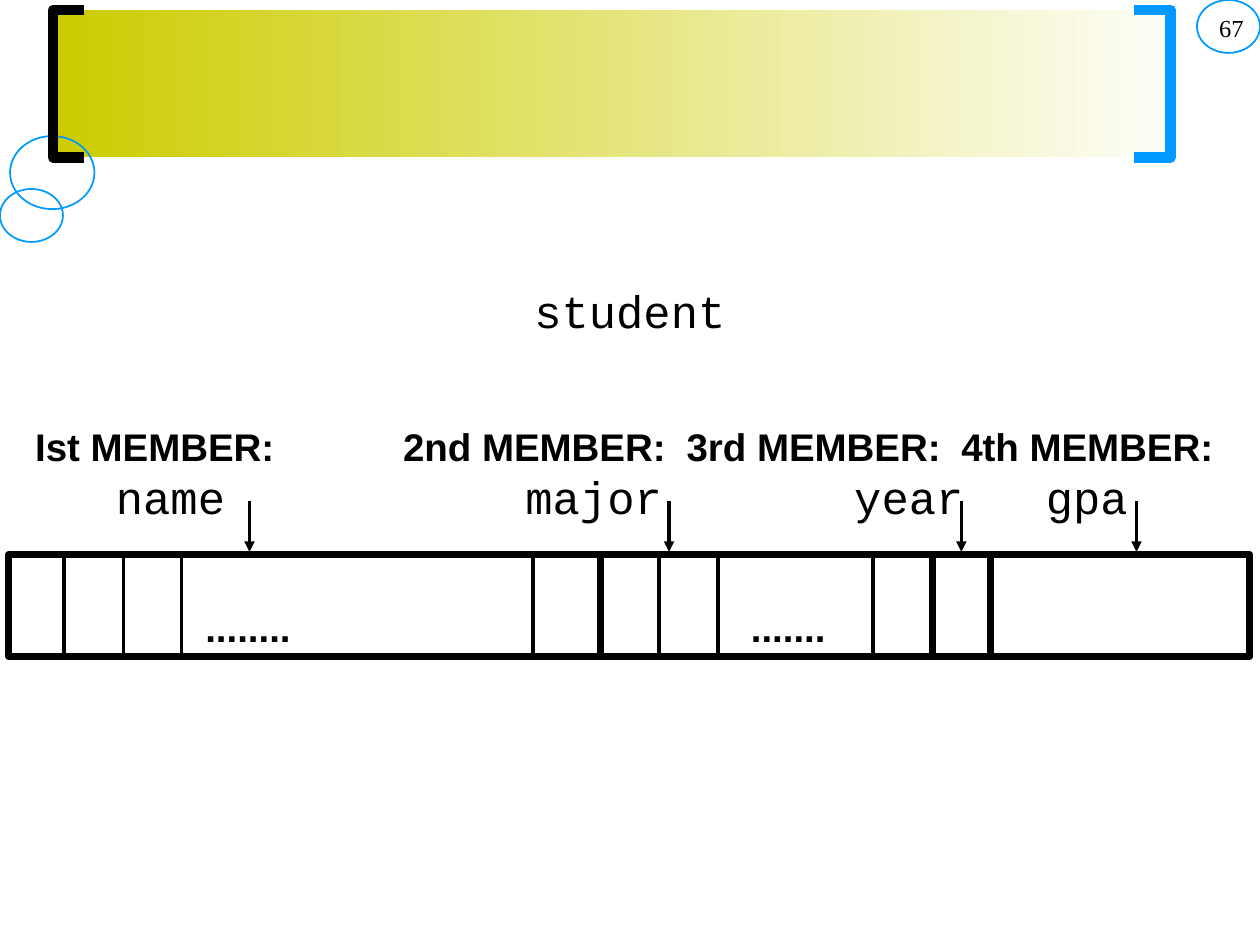
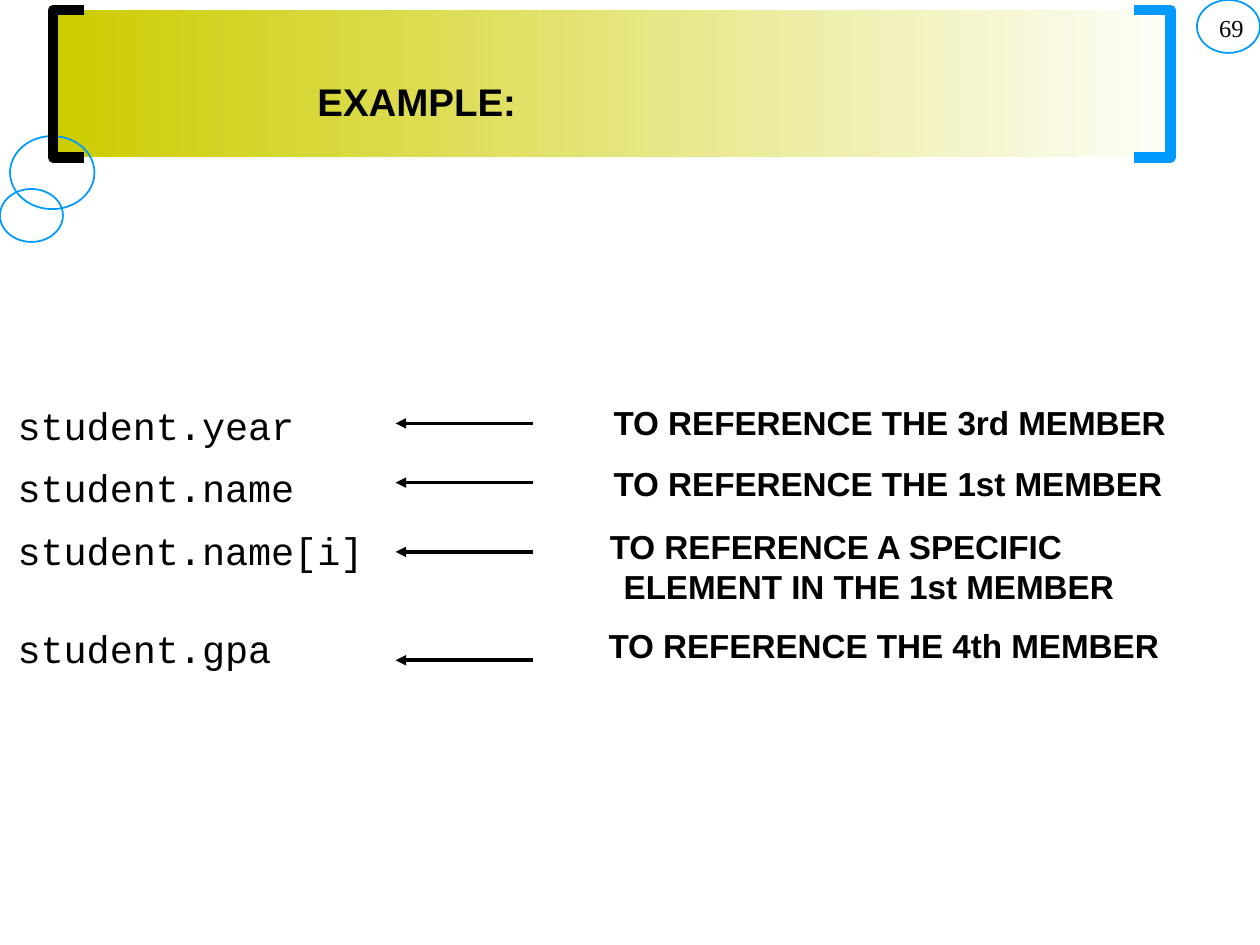
from lxml import etree
from pptx import Presentation
from pptx.dml.color import RGBColor
from pptx.enum.shapes import MSO_CONNECTOR, MSO_SHAPE
from pptx.enum.text import PP_ALIGN
from pptx.oxml.ns import qn
from pptx.util import Inches, Pt

BLACK = RGBColor(0, 0, 0)
WHITE = RGBColor(255, 255, 255)
BLUE = RGBColor(0, 0x99, 0xFF)
OLIVE = RGBColor(0xCC, 0xCC, 0)
RECT, OVAL = MSO_SHAPE.RECTANGLE, MSO_SHAPE.OVAL
STRAIGHT = MSO_CONNECTOR.STRAIGHT
LEFT, CENTER, RIGHT = PP_ALIGN.LEFT, PP_ALIGN.CENTER, PP_ALIGN.RIGHT
SANS, MONO, SERIF = "Arial", "Courier New", "Times New Roman"

ROW_TOP, ROW_END = 4.38, 5.24
# label left, member name, name left, arrow centre
MEMBERS = [
    ("Ist MEMBER:", 0.28, "name", 0.92, 1.98),
    ("2nd MEMBER:", 3.2, "major", 4.17, 5.31),
    ("3rd MEMBER:", 5.45, "year", 6.78, 7.63),
    ("4th MEMBER:", 7.63, "gpa", 8.3, 9.02),
]
THIN_CELLS = [0.51, 0.98, 1.44, 4.23, 5.23, 5.7, 6.93]
THICK_CELLS = [4.77, 7.4, 7.86]
# code, note, note left, text top, arrow height
REFERENCES = [
    ("student.year", "TO REFERENCE THE 3rd MEMBER", 4.87, 3.19, 3.36),
    ("student.name", "TO REFERENCE THE 1st MEMBER", 4.87, 3.68, 3.83),
    ("student.name[i]",
     "TO REFERENCE A SPECIFIC\vELEMENT IN THE 1st MEMBER", 4.84, 4.18, 4.38),
    ("student.gpa", "TO REFERENCE THE 4th MEMBER", 4.83, 4.96, 5.24),
]


def outline(shape, color, weight):
    shape.shadow.inherit = False
    shape.fill.background()
    shape.line.color.rgb = color
    shape.line.width = Pt(weight)


def add_box(slide, kind, box, color, weight):
    shape = slide.shapes.add_shape(kind, *map(Inches, box))
    outline(shape, color, weight)


def add_band(slide):
    band = slide.shapes.add_shape(RECT, *map(Inches, (0.42, 0.08, 9.12, 1.17)))
    band.shadow.inherit = False
    band.line.fill.background()
    band.fill.gradient()
    band.fill.gradient_angle = 0
    for stop, color in zip(band.fill.gradient_stops, (OLIVE, WHITE)):
        stop.color.rgb = color


def add_bracket(slide, tip, edge, color):
    top, end = 0.08, 1.25
    points = [(edge, top), (edge, end), (tip, end)]
    path = slide.shapes.build_freeform(Inches(tip), Inches(top))
    path.add_line_segments([(Inches(x), Inches(y)) for x, y in points], close=False)
    outline(path.convert_to_shape(), color, 6)


def add_line(slide, x1, y1, x2, y2, weight=2, arrow=False):
    line = slide.shapes.add_connector(STRAIGHT, *map(Inches, (x1, y1, x2, y2)))
    line.line.color.rgb = BLACK
    line.line.width = Pt(weight)
    if arrow:
        etree.SubElement(line.line._get_or_add_ln(), qn("a:tailEnd"), type="triangle")
    etree.SubElement(line._element.spPr, qn("a:effectLst"))


def add_text(slide, text, left, top, size, font=SANS, bold=False,
             width=5, align=LEFT, hang=0):
    """Place text with no inner margins; hang indents the lines after the first."""
    box = slide.shapes.add_textbox(*map(Inches, (left, top, width, size / 60)))
    frame = box.text_frame
    frame.margin_left = frame.margin_right = 0
    frame.margin_top = frame.margin_bottom = 0
    frame.word_wrap = True
    frame.text = text
    para = frame.paragraphs[0]
    if "\v" in text:
        para = frame.paragraphs[0]
    para.alignment = align
    if hang:
        props = para._p.get_or_add_pPr()
        props.set("marL", str(Inches(hang)))
        props.set("indent", str(-Inches(hang)))
    for run in para.runs:
        run.font.name = font
        run.font.size = Pt(size)
        run.font.bold = bold
        run.font.color.rgb = BLACK


def add_page(deck, number):
    """Add a blank slide with the shared band, brackets, circles and number."""
    slide = deck.slides.add_slide(deck.slide_layouts[6])
    add_band(slide)
    add_box(slide, OVAL, (0.08, 1.08, 0.67, 0.58), BLUE, 1)
    add_bracket(slide, 0.67, 0.42, BLACK)
    add_bracket(slide, 9, 9.29, BLUE)
    for left, top in ((0, 1.5), (9.5, 0)):
        add_box(slide, OVAL, (left, top, 0.5, 0.42), BLUE, 1)
    add_text(slide, number, 7.87, 0.1, 14, SERIF, width=2, align=RIGHT)
    return slide


def add_layout(deck):
    """Show the members of the student structure side by side in memory."""
    slide = add_page(deck, "67")
    add_text(slide, "student", 0, 2.25, 26, MONO, width=10, align=CENTER)
    for label, label_x, name, name_x, arrow_x in MEMBERS:
        add_text(slide, label, label_x, 3.36, 22, bold=True, width=2.3)
        add_text(slide, name, name_x, 3.72, 26, MONO, width=1.3)
        add_line(slide, arrow_x, 3.98, arrow_x, ROW_TOP, arrow=True)
    add_box(slide, RECT, (0.07, 4.4, 9.85, 0.81), BLACK, 4)
    for cells, weight in ((THIN_CELLS, 2), (THICK_CELLS, 4)):
        for x in cells:
            add_line(slide, x, ROW_TOP, x, ROW_END, weight)
    for dots, left in (("........", 1.63), (".......", 5.96)):
        add_text(slide, dots, left, 4.79, 22, bold=True, width=0.9)


def add_example(deck):
    slide = add_page(deck, "69")
    add_text(slide, "EXAMPLE:", 2.52, 0.62, 22, bold=True, width=2.9)
    for code, note, note_x, top, arrow_y in REFERENCES:
        add_text(slide, code, 0.14, top, 22, MONO, width=2.9)
        add_text(slide, note, note_x, top, 19, bold=True,
                 hang=0.11 if "\v" in note else 0)
        add_line(slide, 4.23, arrow_y, 3.14, arrow_y, arrow=True)


def main():
    deck = Presentation()
    deck.slide_width, deck.slide_height = Inches(10), Inches(7.5)
    add_layout(deck)
    add_example(deck)
    deck.save("out.pptx")


if __name__ == "__main__":
    main()
